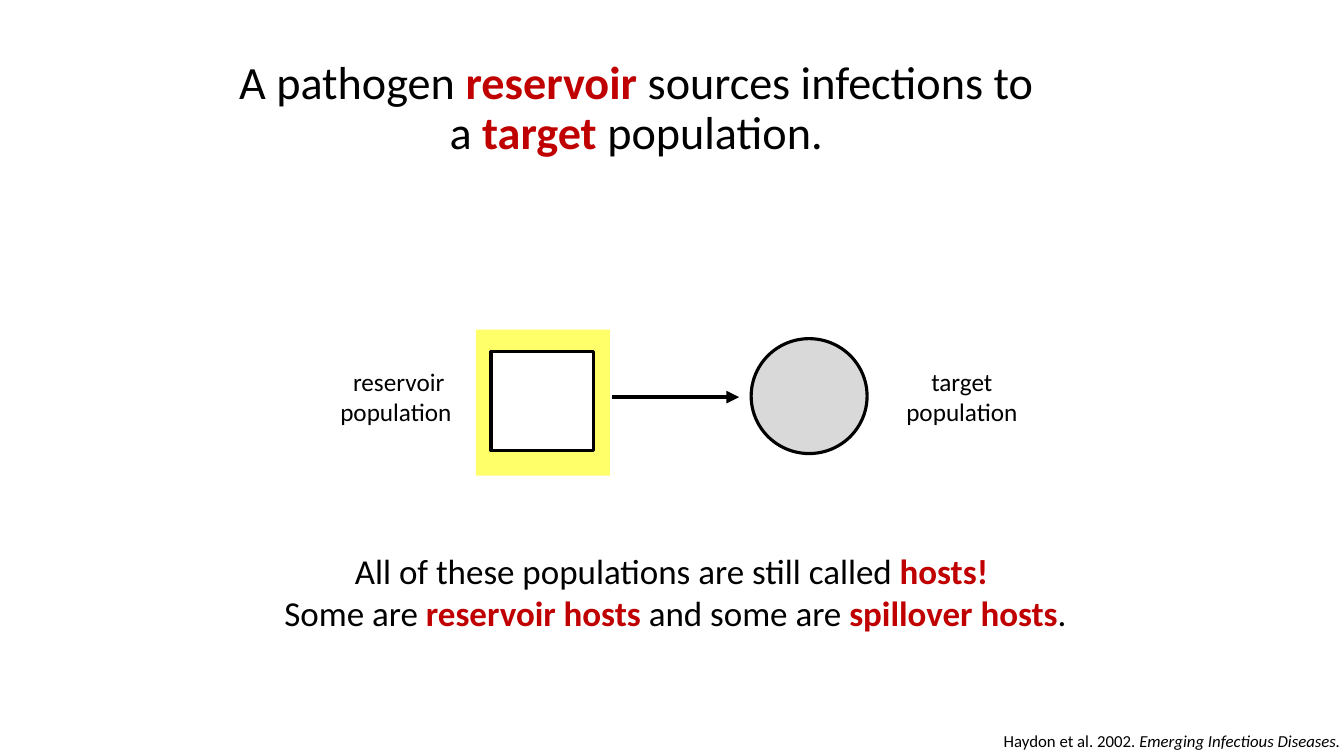
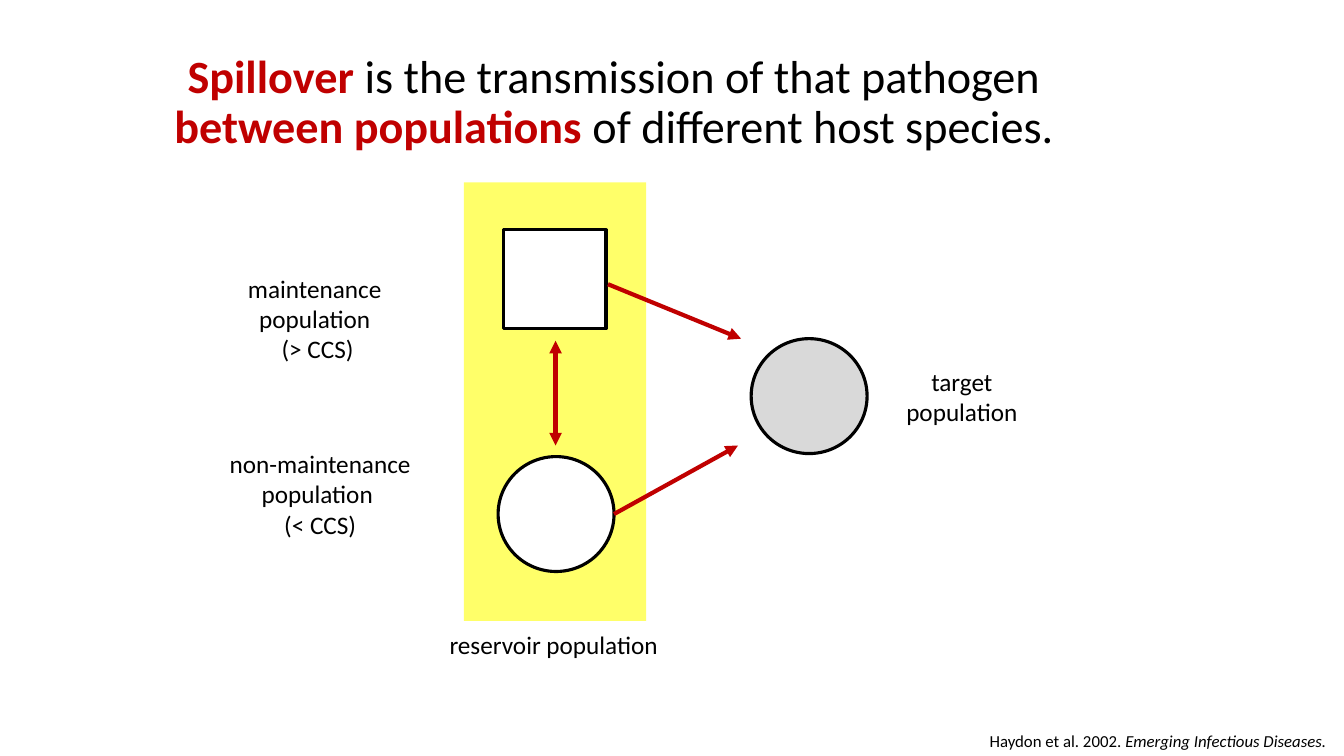
"""Build two slides on pathogen reservoirs, targets and spillover."""
from lxml.etree import SubElement
from pptx import Presentation
from pptx.dml.color import RGBColor
from pptx.enum.shapes import MSO_CONNECTOR as CONNECTOR, MSO_SHAPE as SHAPE
from pptx.enum.text import MSO_ANCHOR as ANCHOR, MSO_AUTO_SIZE as AUTO_SIZE, PP_ALIGN as ALIGN
from pptx.oxml.ns import qn
from pptx.util import Inches, Pt

WIDTH, HEIGHT = 13.33, 7.5
FONT = "Calibri"
BLACK, RED, WHITE, GREY, YELLOW = "000000", "C00000", "FFFFFF", "D9D9D9", "FFFF00"
TITLE_SIZE, MESSAGE_SIZE, LABEL_SIZE, CITATION_SIZE = 33, 25, 18, 12
TITLE_HEIGHT = 1.45
SQUARE, CIRCLE = (1.02, 0.98), (1.15, 1.14)
STRONG, ITALIC = "strong", "italic"

CITATION = [["Haydon et al. 2002. ", ("Emerging Infectious Diseases.", ITALIC)]]
TARGET = (SHAPE.OVAL, (7.45, 3.36, *CIRCLE), GREY)
TARGET_LABEL = ((8.6, 3.58, 1.88, 0.71), LABEL_SIZE, [["target population"]])

SLIDES = [
    {
        "title": ["A pathogen ", ("reservoir", STRONG), " sources infections to a ",
                  ("target", STRONG), " population."],
        "title_box": (2.14, 0.36, 8.34),
        "highlight": (4.72, 3.27, 1.33, 1.45),
        "populations": [TARGET, (SHAPE.RECTANGLE, (4.87, 3.49, *SQUARE), WHITE)],
        "arrows": [((6.07, 3.94), (7.33, 3.94), BLACK, False)],
        "texts": [
            TARGET_LABEL,
            ((3.17, 3.58, 1.57, 0.71), LABEL_SIZE, [["reservoir population "]]),
            ((2.53, 5.4, 8.34, 0.94), MESSAGE_SIZE, [
                ["All of these populations are still called ", ("hosts! ", STRONG)],
                ["Some are ", ("reservoir hosts ", STRONG), "and some are ",
                 ("spillover hosts", STRONG), "."],
            ]),
        ],
        "citation_left": 9.78,
    },
    {
        "title": [("Spillover", STRONG), " is the transmission of that pathogen ",
                  ("between populations", STRONG), " of different host species."],
        "title_box": (1.29, 0.3, 9.6),
        "highlight": (4.6, 1.81, 1.81, 4.35),
        "populations": [TARGET, (SHAPE.RECTANGLE, (4.99, 2.28, *SQUARE), WHITE),
                        (SHAPE.OVAL, (4.94, 4.53, *CIRCLE), WHITE)],
        "arrows": [((6.03, 2.82), (7.35, 3.36), RED, False),
                   ((6.09, 5.1), (7.32, 4.42), RED, False),
                   ((5.51, 3.38), (5.51, 4.42), RED, True)],
        "texts": [
            TARGET_LABEL,
            ((4.31, 6.19, 2.42, 0.4), LABEL_SIZE, [["reservoir population "]]),
            ((1.67, 2.66, 2.96, 1.01), LABEL_SIZE,
             [["maintenance "], ["population "], ["(> CCS)"]]),
            ((2.07, 4.4, 2.21, 1.01), LABEL_SIZE,
             [["non-maintenance population "], ["(< CCS)"]]),
        ],
        "citation_left": 9.64,
    },
]


def color(value):
    return RGBColor.from_string(value)


def inches(values):
    return [Inches(value) for value in values]


def write(text_frame, paragraphs, size, line_spacing=None):
    text_frame.word_wrap = True
    for index, parts in enumerate(paragraphs):
        paragraph = text_frame.add_paragraph() if index else text_frame.paragraphs[0]
        paragraph.alignment = ALIGN.CENTER
        if line_spacing:
            paragraph.line_spacing = line_spacing
        for part in parts:
            text, style = (part, None) if isinstance(part, str) else part
            run = paragraph.add_run()
            run.text = text
            run.font.name, run.font.size = FONT, Pt(size)
            run.font.bold, run.font.italic = style == STRONG, style == ITALIC
            run.font.color.rgb = color(RED if style == STRONG else BLACK)


def add_title(slide, parts, box):
    title = slide.shapes.title
    title.left, title.top, title.width, title.height = inches((*box, TITLE_HEIGHT))
    title.text_frame.auto_size = AUTO_SIZE.NONE
    title.text_frame.vertical_anchor = ANCHOR.MIDDLE
    write(title.text_frame, [parts], TITLE_SIZE, 0.9)


def add_text(slide, box, size, paragraphs):
    text_box = slide.shapes.add_textbox(*inches(box))
    write(text_box.text_frame, paragraphs, size)
    text_box.text_frame.auto_size = AUTO_SIZE.SHAPE_TO_FIT_TEXT


def add_filled(slide, kind, box, fill):
    shape = slide.shapes.add_shape(kind, *inches(box))
    shape.shadow.inherit = False
    shape.fill.solid()
    shape.fill.fore_color.rgb = color(fill)
    return shape


def add_highlight(slide, box):
    shape = add_filled(slide, SHAPE.RECTANGLE, box, YELLOW)
    shape.line.fill.background()
    fill_color = shape.fill._xPr.find(qn("a:solidFill"))[0]
    SubElement(fill_color, qn("a:alpha"), val="59000")


def add_population(slide, kind, box, fill):
    shape = add_filled(slide, kind, box, fill)
    shape.line.color.rgb = color(BLACK)
    shape.line.width = Pt(2.25)


def add_arrow(slide, start, end, line_color, two_way):
    arrow = slide.shapes.add_connector(CONNECTOR.STRAIGHT, *inches((*start, *end)))
    arrow.line.color.rgb = color(line_color)
    arrow.line.width = Pt(3)
    line = arrow.line._get_or_add_ln()
    for tag in ["a:headEnd", "a:tailEnd"] if two_way else ["a:tailEnd"]:
        SubElement(line, qn(tag), type="triangle")
    SubElement(arrow._element.spPr, qn("a:effectLst"))


def main():
    presentation = Presentation()
    presentation.slide_width, presentation.slide_height = inches((WIDTH, HEIGHT))
    title_only = presentation.slide_layouts[5]
    for content in SLIDES:
        slide = presentation.slides.add_slide(title_only)
        add_title(slide, content["title"], content["title_box"])
        add_highlight(slide, content["highlight"])
        for population in content["populations"]:
            add_population(slide, *population)
        for arrow in content["arrows"]:
            add_arrow(slide, *arrow)
        for text in content["texts"]:
            add_text(slide, *text)
        citation_box = (content["citation_left"], HEIGHT - 0.3, 3.69, 0.3)
        add_text(slide, citation_box, CITATION_SIZE, CITATION)
    presentation.save("out.pptx")


if __name__ == "__main__":
    main()
